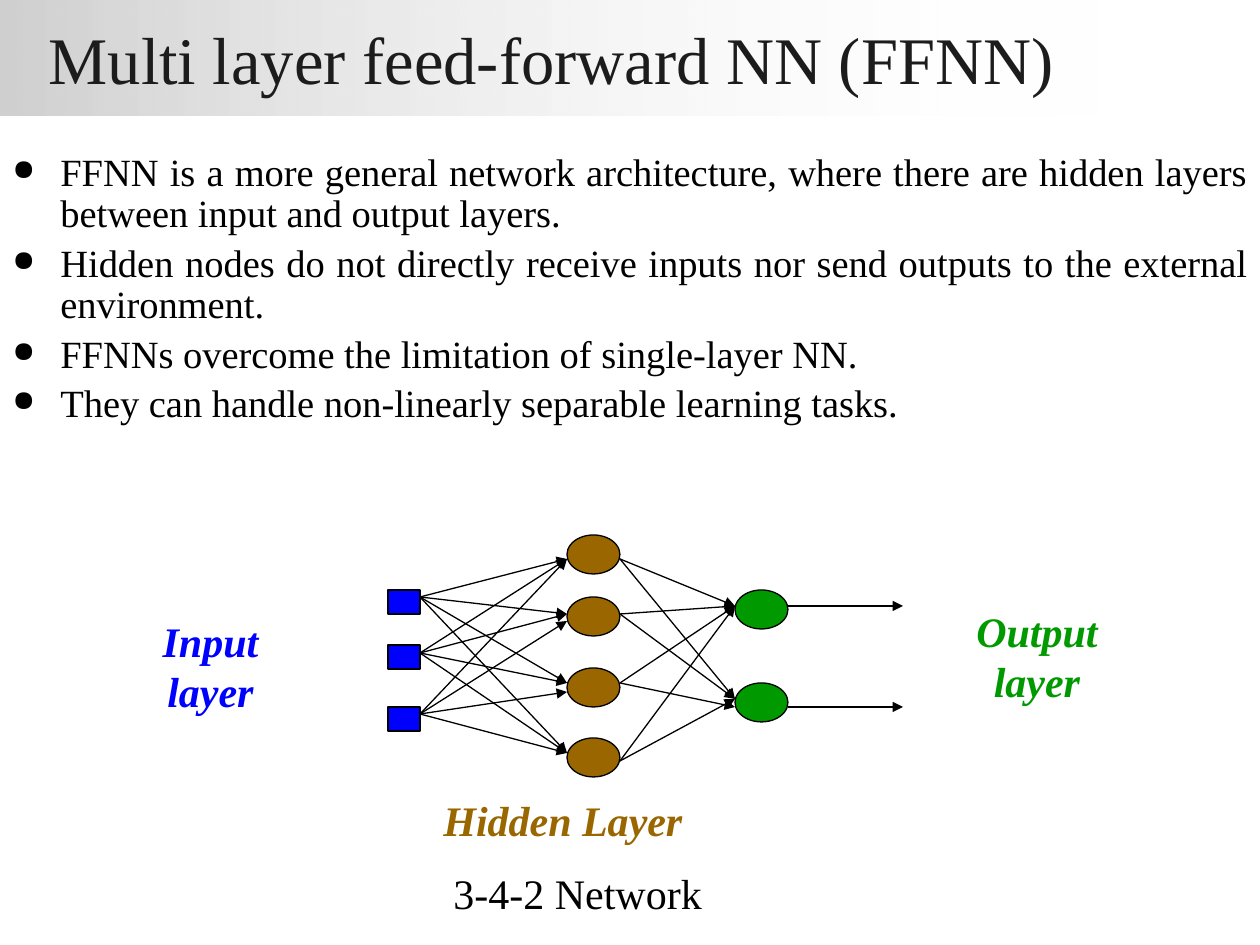
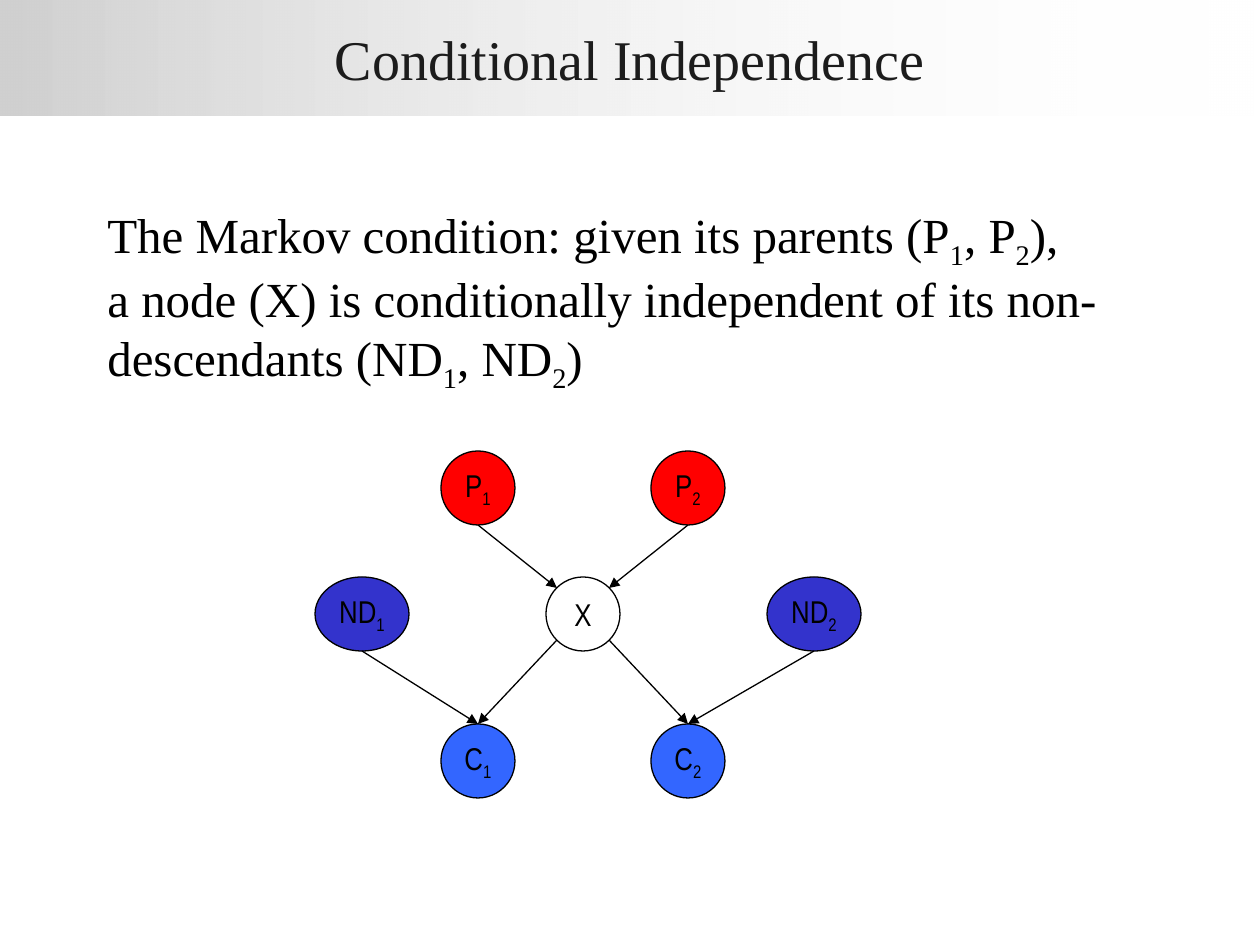
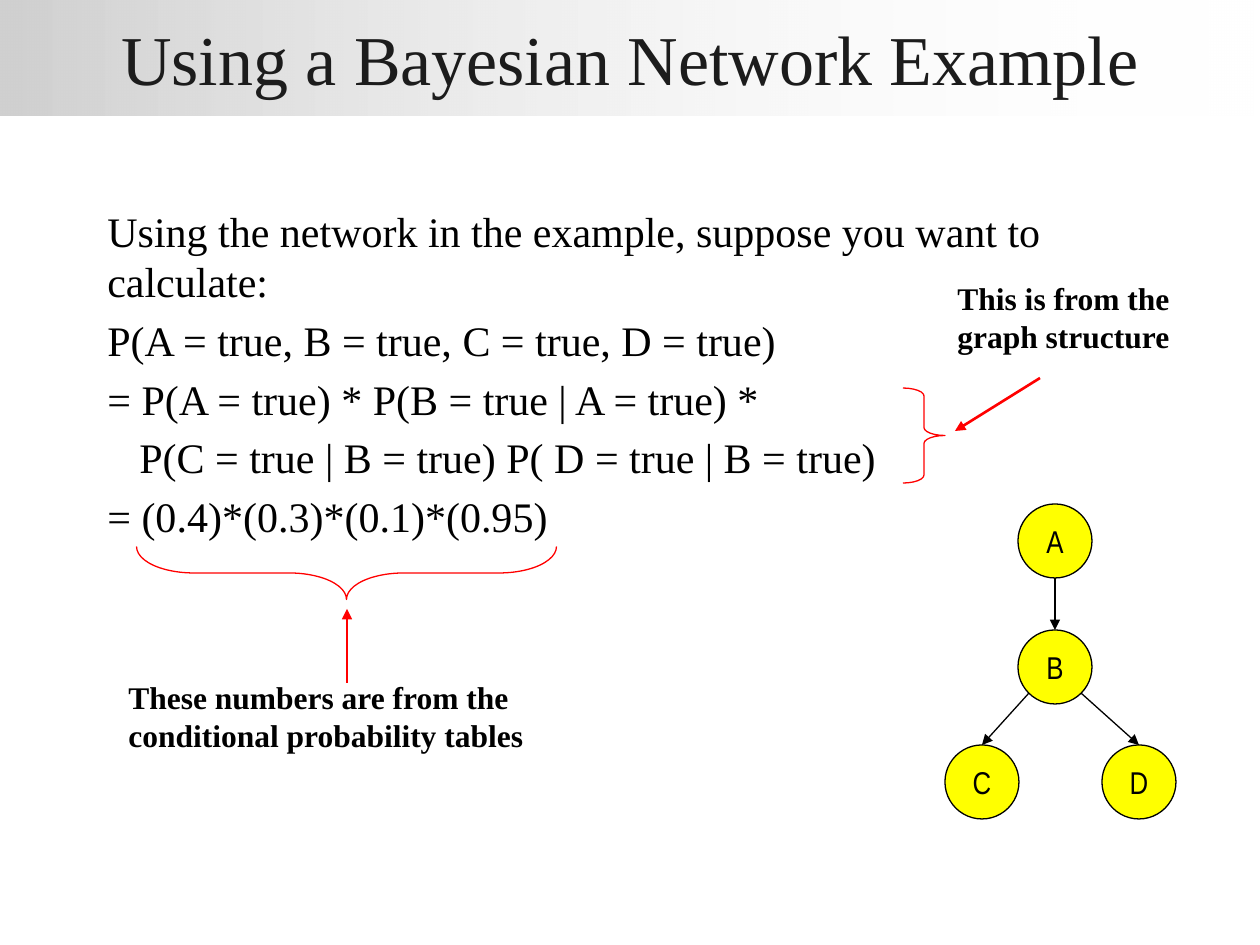
from dataclasses import dataclass

from lxml.etree import SubElement
from pptx import Presentation
from pptx.dml.color import RGBColor
from pptx.enum.shapes import MSO_CONNECTOR, MSO_SHAPE
from pptx.enum.text import MSO_ANCHOR, MSO_AUTO_SIZE, PP_ALIGN
from pptx.oxml.ns import qn
from pptx.util import Emu, Pt

EMU_PER_PX = 914400 / 126


@dataclass(frozen=True)
class Theme:
    serif: str = "Times New Roman"
    sans: str = "Arial Narrow"
    ink: str = "000000"
    title_ink: str = "1C1C1C"
    band_start: str = "D0D0D0"
    band_end: str = "FFFFFF"
    input_layer: str = "0000FF"
    hidden_layer: str = "996600"
    output_layer: str = "009900"
    parent: str = "FF0000"
    child: str = "3366FF"
    non_descendant: str = "3333CC"
    event: str = "FFFF00"
    callout: str = "FF0000"
    note_size: int = 18
    bullet_size: int = 22
    text_size: int = 24
    statement_size: int = 28
    thin: float = 0.75
    thick: float = 1.5


THEME = Theme()
DIAGONAL = 0.71
SIDES = {
    "top": (0, -1),
    "bottom": (0, 1),
    "upper left": (-DIAGONAL, -DIAGONAL),
    "upper right": (DIAGONAL, -DIAGONAL),
    "lower left": (-DIAGONAL, DIAGONAL),
    "lower right": (DIAGONAL, DIAGONAL),
}
NODE_SIZE = 74


def px(length):
    return Emu(round(length * EMU_PER_PX))


def rgb(code):
    return RGBColor.from_string(code)


def write(frame, text, size=THEME.text_size, font=THEME.serif, color=THEME.ink,
          bold=False, italic=False, align=PP_ALIGN.LEFT, before=0, leading=None):
    for index, line in enumerate(text.split("\n")):
        paragraph = frame.add_paragraph() if index else frame.paragraphs[0]
        paragraph.alignment = align
        paragraph.space_before = Pt(size * before)
        paragraph.line_spacing = leading
        head, *tails = line.split("_")
        pieces = [(head, False)]
        for tail in tails:
            pieces += [(tail[0], True), (tail[1:], False)]
        for words, subscript in pieces:
            if not words:
                continue
            run = paragraph.add_run()
            run.text = words
            run.font.size = Pt(size)
            run.font.name = font
            run.font.bold = bold
            run.font.italic = italic
            run.font.color.rgb = rgb(color)
            if subscript:
                run._r.get_or_add_rPr().set("baseline", "-25000")


def indent(paragraph, left, first=0):
    properties = paragraph._p.get_or_add_pPr()
    properties.set("marL", str(px(left)))
    properties.set("indent", str(px(first)))
    return properties


def add_bullet(paragraph):
    properties = indent(paragraph, 48, -48)
    bullet_color = SubElement(properties, qn("a:buClr"))
    SubElement(bullet_color, qn("a:srgbClr"), val=THEME.ink)
    SubElement(properties, qn("a:buSzPct"), val="75000")
    SubElement(properties, qn("a:buChar"), char="●")


def add_text(slide, box, text, **text_format):
    frame = slide.shapes.add_textbox(*map(px, box)).text_frame
    frame.word_wrap = True
    write(frame, text, **text_format)
    return frame


def fill_band(band):
    band.fill.gradient()
    band.fill.gradient_angle = 0
    start, end = band.fill.gradient_stops
    start.color.rgb = rgb(THEME.band_start)
    end.color.rgb = rgb(THEME.band_end)
    SubElement(end._gs.find(qn("a:srgbClr")), qn("a:alpha"), val="0")


def add_titled_slide(deck, text, size, width=1260):
    slide = deck.slides.add_slide(deck.slide_layouts[5])
    title = slide.shapes.title
    title.left, title.top, title.width, title.height = map(px, (0, 0, width, 116))
    fill_band(title)
    frame = title.text_frame
    frame.auto_size = MSO_AUTO_SIZE.NONE
    frame.word_wrap = True
    frame.vertical_anchor = MSO_ANCHOR.MIDDLE
    frame.margin_left = frame.margin_right = px(3)
    frame.margin_top = frame.margin_bottom = px(1)
    write(frame, text, size=size, color=THEME.title_ink, align=PP_ALIGN.CENTER)
    return slide


def add_outlined(slide, preset, box, fill=None, line=THEME.ink):
    shape = slide.shapes.add_shape(preset, *map(px, box))
    shape.shadow.inherit = False
    if fill:
        shape.fill.solid()
        shape.fill.fore_color.rgb = rgb(fill)
    else:
        shape.fill.background()
    shape.line.color.rgb = rgb(line)
    shape.line.width = Pt(THEME.thin)
    return shape


def add_arrow(slide, start, end, color=THEME.ink, weight=THEME.thin):
    arrow = slide.shapes.add_connector(MSO_CONNECTOR.STRAIGHT, *map(px, start + end))
    arrow.line.color.rgb = rgb(color)
    arrow.line.width = Pt(weight)
    properties = arrow._element.spPr
    SubElement(properties.find(qn("a:ln")), qn("a:tailEnd"), type="triangle")
    SubElement(properties, qn("a:effectLst"))


def add_brace(slide, box, curve, rotation=0):
    brace = add_outlined(slide, MSO_SHAPE.RIGHT_BRACE, box, line=THEME.callout)
    brace.adjustments[0] = curve
    brace.adjustments[1] = 0.5
    brace.rotation = rotation


def add_layer(slide, preset, left, tops, width, height, fill):
    for top in tops:
        add_outlined(slide, preset, (left, top, width, height), fill)


def add_fan(slide, start_x, end_x, targets_by_start):
    for start_y, targets in targets_by_start.items():
        for end_y in targets:
            add_arrow(slide, (start_x, start_y), (end_x, end_y))


def port(node, side):
    x, y, width, _ = node
    dx, dy = SIDES[side]
    return round(x + dx * width / 2), round(y + dy * NODE_SIZE / 2)


def add_graph(slide, nodes, edges):
    for label, (x, y, width, fill) in nodes.items():
        box = (x - width / 2, y - NODE_SIZE / 2, width, NODE_SIZE)
        frame = add_outlined(slide, MSO_SHAPE.OVAL, box, fill).text_frame
        frame.word_wrap = False
        frame.vertical_anchor = MSO_ANCHOR.MIDDLE
        write(frame, label, size=THEME.note_size, font=THEME.sans, align=PP_ALIGN.CENTER)
    for source, exit_side, target, entry_side in edges:
        add_arrow(slide, port(nodes[source], exit_side), port(nodes[target], entry_side))


def build_feed_forward(deck):
    slide = add_titled_slide(deck, "Multi layer feed-forward NN (FFNN)", 38, width=1103)
    points = add_text(
        slide, (0, 147, 1260, 400),
        "FFNN is a more general network architecture, where there are hidden layers "
        "between input and output layers.\n"
        "Hidden nodes do not directly receive inputs nor send outputs to the external "
        "environment.\n"
        "FFNNs overcome the limitation of single-layer NN.\n"
        "They can handle non-linearly separable learning tasks.",
        size=THEME.bullet_size, align=PP_ALIGN.JUSTIFY, before=0.2, leading=0.9)
    for point in points.paragraphs:
        add_bullet(point)

    for box, label, color, align in (
        ((140, 609, 141, 113), "Input\nlayer", THEME.input_layer, PP_ALIGN.CENTER),
        ((954, 599, 166, 113), "Output\nlayer", THEME.output_layer, PP_ALIGN.CENTER),
        ((431, 788, 285, 63), "Hidden Layer", THEME.hidden_layer, PP_ALIGN.LEFT),
    ):
        add_text(slide, box, label, color=color, bold=True, italic=True, align=align)

    add_layer(slide, MSO_SHAPE.OVAL, 567, (535, 597, 668, 738), 53, 39, THEME.hidden_layer)
    add_layer(slide, MSO_SHAPE.RECTANGLE, 388, (590, 645, 707), 32, 24, THEME.input_layer)
    add_layer(slide, MSO_SHAPE.OVAL, 735, (590, 683), 53, 39, THEME.output_layer)

    hidden_entries = (559, 614, 683, 753)
    output_entries = (606, 699)
    add_fan(slide, 420, 567, {
        597: hidden_entries, 653: hidden_entries, 714: (559, 621, 692, 753)})
    add_fan(slide, 620, 735, {
        559: output_entries, 614: output_entries, 683: (606, 707), 761: output_entries})
    add_fan(slide, 788, 903, {606: (606,), 707: (707,)})
    add_text(slide, (441, 861, 315, 63), "3-4-2 Network")


def build_conditional_independence(deck):
    slide = add_titled_slide(deck, "Conditional Independence", 32)
    add_text(
        slide, (95, 199, 1081, 189),
        "The Markov condition: given its parents (P_1, P_2),\n"
        "a node (X) is conditionally independent of its non-descendants (ND_1, ND_2)",
        size=THEME.statement_size, before=0.2, leading=0.9)
    nodes = {
        "X": (583, 614, NODE_SIZE, None),
        "P_1": (478, 488, NODE_SIZE, THEME.parent),
        "P_2": (688, 488, NODE_SIZE, THEME.parent),
        "C_1": (478, 761, NODE_SIZE, THEME.child),
        "C_2": (688, 761, NODE_SIZE, THEME.child),
        "ND_1": (362, 614, 94, THEME.non_descendant),
        "ND_2": (814, 614, 94, THEME.non_descendant),
    }
    add_graph(slide, nodes, (
        ("P_1", "bottom", "X", "upper left"),
        ("P_2", "bottom", "X", "upper right"),
        ("X", "lower right", "C_2", "top"),
        ("X", "lower left", "C_1", "top"),
        ("ND_1", "bottom", "C_1", "top"),
        ("ND_2", "bottom", "C_2", "top"),
    ))


def build_bayesian_example(deck):
    slide = add_titled_slide(deck, "Using a Bayesian Network Example", 40)
    calculation = add_text(
        slide, (95, 199, 1071, 357),
        "Using the network in the example, suppose you want to calculate:\n"
        "P(A = true, B = true, C = true, D = true)\n"
        "= P(A = true) * P(B = true | A = true) *\n"
        "P(C = true | B = true) P( D = true | B = true)\n"
        "= (0.4)*(0.3)*(0.1)*(0.95)",
        before=0.2)
    indent(calculation.paragraphs[3], 32)

    centers = {"A": (1055, 541), "B": (1055, 667), "C": (982, 782), "D": (1139, 782)}
    nodes = {label: (*center, NODE_SIZE, THEME.event) for label, center in centers.items()}
    add_graph(slide, nodes, (
        ("A", "bottom", "B", "top"),
        ("B", "lower left", "C", "top"),
        ("B", "lower right", "D", "top"),
    ))

    add_brace(slide, (903, 388, 42, 95), 0.19)
    add_brace(slide, (320, 363, 53, 420), 1.08, rotation=90)
    for box, note in (
        ((945, 273, 294, 89), "This is from the graph structure"),
        ((116, 672, 536, 89), "These numbers are from the conditional probability tables"),
    ):
        add_text(slide, box, note, size=THEME.note_size, bold=True)
    for start, end in (((1040, 378), (955, 431)), ((347, 683), (347, 609))):
        add_arrow(slide, start, end, color=THEME.callout, weight=THEME.thick)


def main():
    deck = Presentation()
    deck.slide_width, deck.slide_height = px(1260), px(945)
    build_feed_forward(deck)
    build_conditional_independence(deck)
    build_bayesian_example(deck)
    deck.save("out.pptx")


if __name__ == "__main__":
    main()
